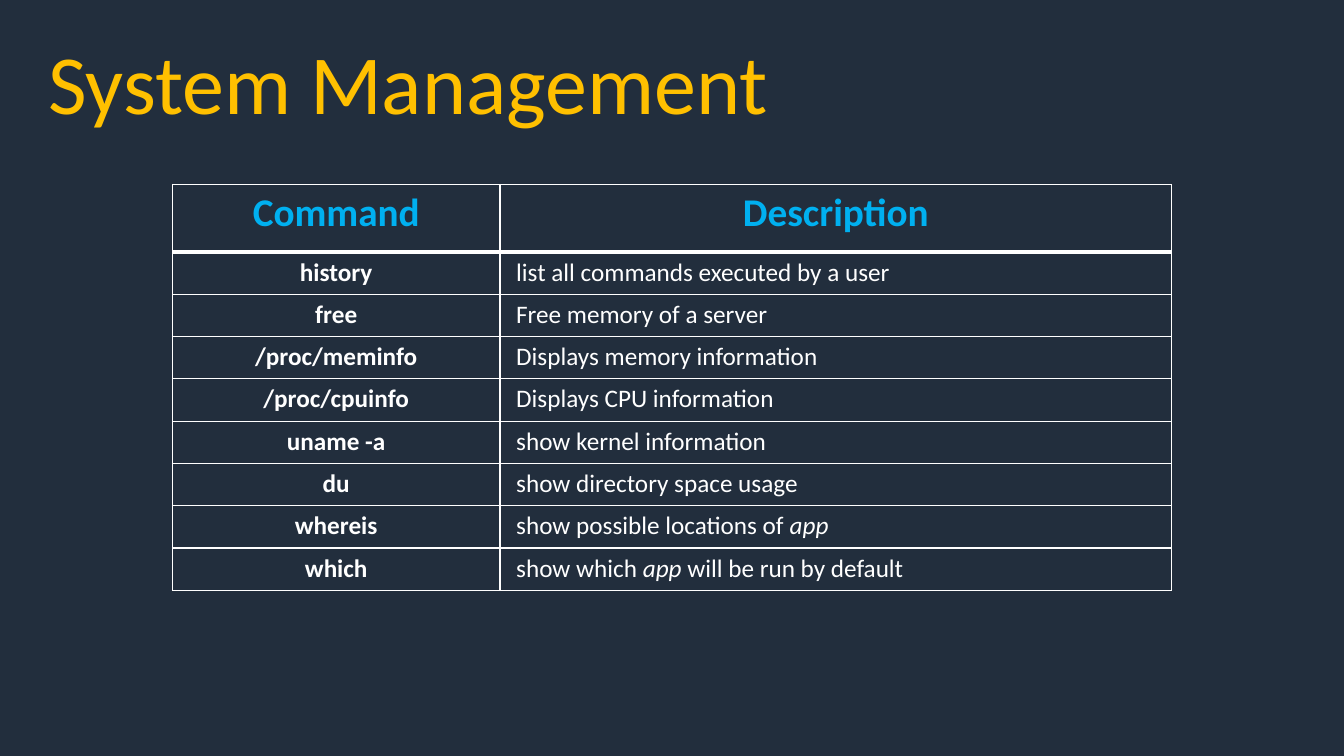
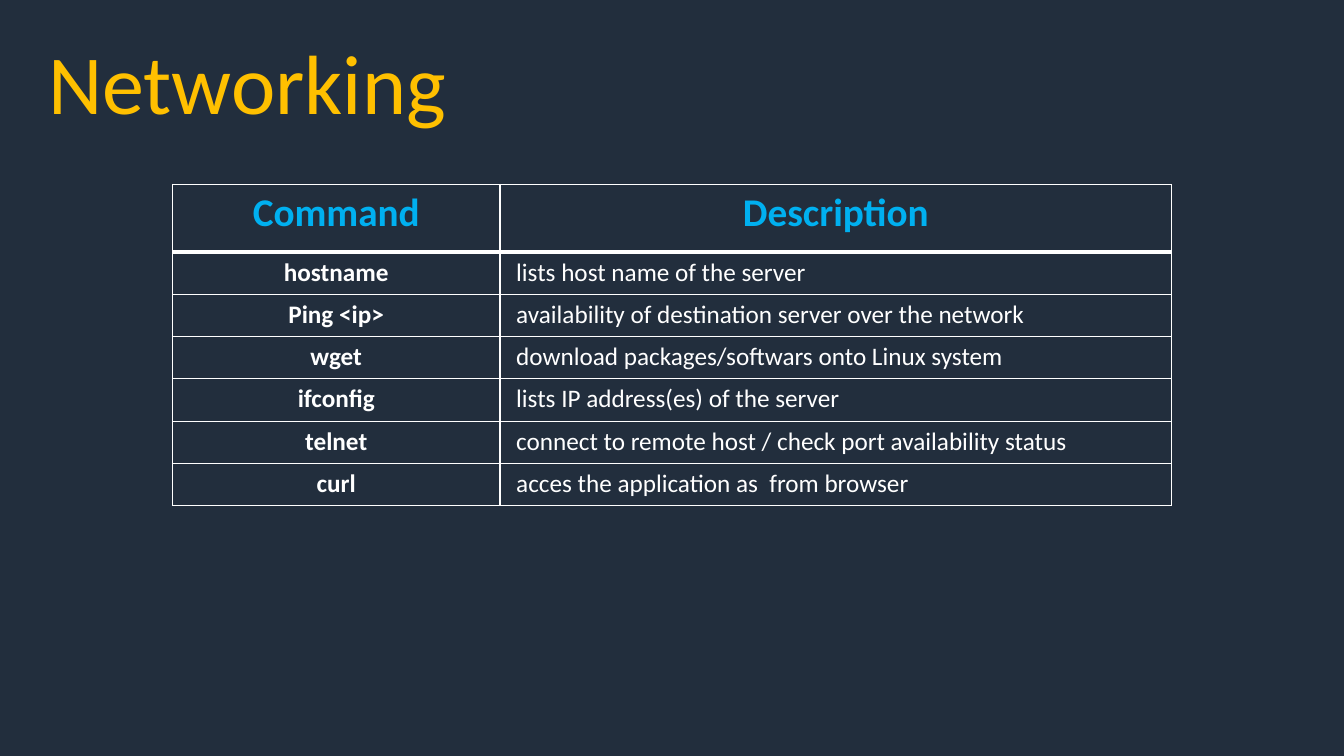
from lxml import etree
from pptx import Presentation
from pptx.dml.color import RGBColor
from pptx.enum.text import PP_ALIGN
from pptx.oxml.ns import qn
from pptx.util import Inches, Pt

CENTER, LEFT = PP_ALIGN.CENTER, PP_ALIGN.LEFT

NAVY, GOLD, SKY, WHITE = "222E3D", "FFC000", "00B0F0", "FFFFFF"
FONT = "Calibri"
SLIDE_WIDTH, SLIDE_HEIGHT = 13.33, 7.5
TITLE_BOX = (0, 0.25, SLIDE_WIDTH, 1.11)
TABLE_LEFT, TABLE_TOP = 1.71, 1.83
COLUMN_WIDTHS = (3.25, 6.66)
HEADER_HEIGHT, ROW_HEIGHT = 0.67, 0.42
THIN, THICK = 1, 3
HEADINGS = ("Command", "Description")

# Words between asterisks are set in italics.
TOPICS = {
    "System Management": [
        ("history", "list all commands executed by a user"),
        ("free", "Free memory of a server"),
        ("/proc/meminfo", "Displays memory information"),
        ("/proc/cpuinfo", "Displays CPU information"),
        ("uname -a", "show kernel information"),
        ("du", "show directory space usage"),
        ("whereis", "show possible locations of *app*"),
        ("which", "show which *app* will be run by default"),
    ],
    "Networking": [
        ("hostname", "lists host name of the server"),
        ("Ping <ip>", "availability of destination server over the network"),
        ("wget", "download packages/softwars onto Linux system"),
        ("ifconfig", "lists IP address(es) of the server"),
        ("telnet", "connect to remote host / check port availability status"),
        ("curl", "acces the application as  from browser"),
    ],
}


def rgb(hex_color):
    return RGBColor.from_string(hex_color)


def write(paragraph, text, size, color, bold=False, align=LEFT):
    """Fill a paragraph, switching italics at each asterisk."""
    paragraph.alignment = align
    for index, piece in enumerate(text.split("*")):
        if not piece:
            continue
        run = paragraph.add_run()
        run.text = piece
        font = run.font
        font.name, font.size, font.bold = FONT, Pt(size), bold
        font.italic = index % 2 == 1
        font.color.rgb = rgb(color)


def set_borders(cell, top, bottom):
    properties = cell._tc.get_or_add_tcPr()
    sides = {"a:lnL": THIN, "a:lnR": THIN, "a:lnT": top, "a:lnB": bottom}
    for tag, width in sides.items():
        line = etree.SubElement(properties, qn(tag), w=str(Pt(width)))
        fill = etree.SubElement(line, qn("a:solidFill"))
        etree.SubElement(fill, qn("a:srgbClr"), val=WHITE)


def add_title(slide, text, box):
    frame = slide.shapes.add_textbox(*map(Inches, box)).text_frame
    frame.word_wrap = True
    frame.margin_left = Inches(0.48)
    write(frame.paragraphs[0], text, 60, GOLD)


def add_command_table(slide, commands, left, top):
    rows = [HEADINGS, *commands]
    heights = [HEADER_HEIGHT] + [ROW_HEIGHT] * len(commands)
    table = slide.shapes.add_table(
        len(rows), len(HEADINGS), Inches(left), Inches(top),
        Inches(sum(COLUMN_WIDTHS)), Inches(sum(heights))).table
    table.horz_banding = False
    for column, width in zip(table.columns, COLUMN_WIDTHS):
        column.width = Inches(width)
    for r, (texts, height) in enumerate(zip(rows, heights)):
        table.rows[r].height = Inches(height)
        is_header = r == 0
        size, color = (28, SKY) if is_header else (18, WHITE)
        for c, text in enumerate(texts):
            cell = table.cell(r, c)
            set_borders(cell, top=THICK if r == 1 else THIN,
                        bottom=THICK if is_header else THIN)
            cell.fill.background()
            is_description = c == 1 and not is_header
            if is_description:
                cell.margin_left = Inches(0.16)
            write(cell.text_frame.paragraphs[0], text, size, color,
                  bold=not is_description,
                  align=LEFT if is_description else CENTER)


def main():
    prs = Presentation()
    prs.slide_width, prs.slide_height = Inches(SLIDE_WIDTH), Inches(SLIDE_HEIGHT)
    backdrop = prs.slide_master.background.fill
    backdrop.solid()
    backdrop.fore_color.rgb = rgb(NAVY)
    for title, commands in TOPICS.items():
        slide = prs.slides.add_slide(prs.slide_layouts[6])
        add_title(slide, title, TITLE_BOX)
        add_command_table(slide, commands, TABLE_LEFT, TABLE_TOP)
    prs.save("out.pptx")


if __name__ == "__main__":
    main()
